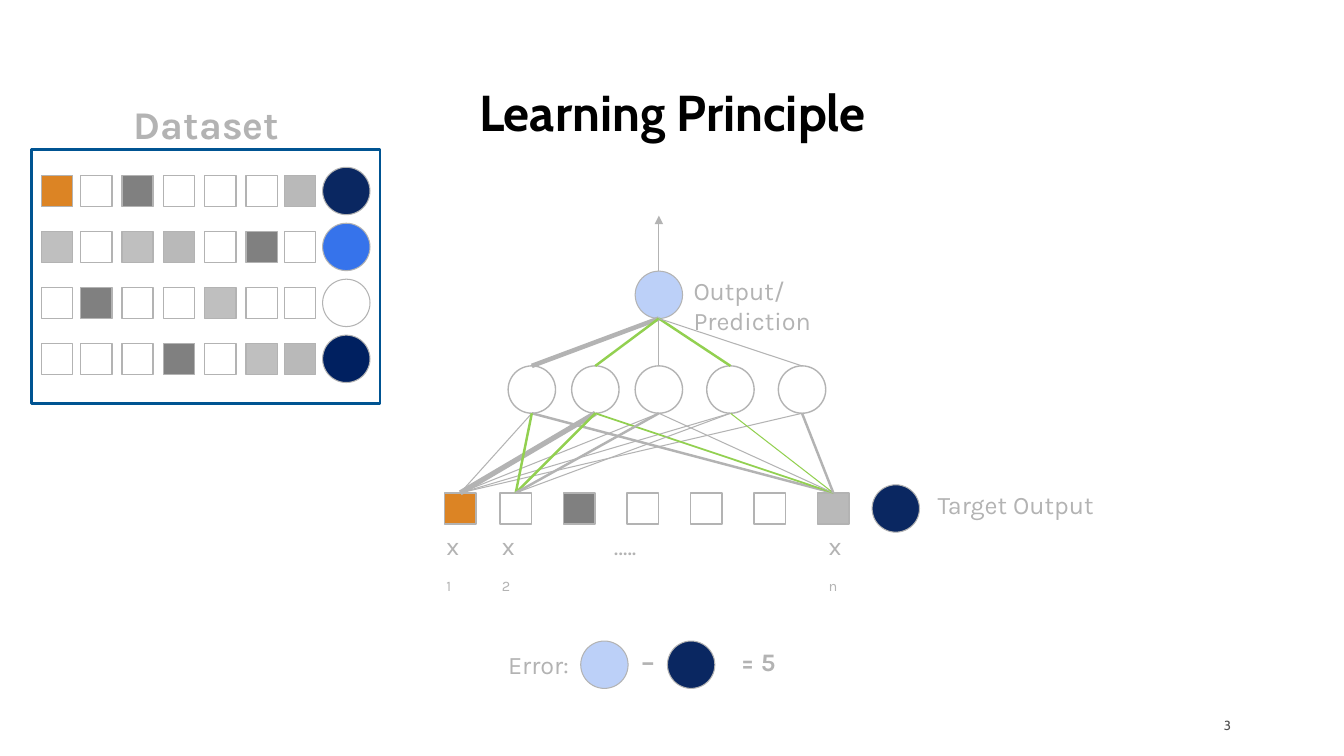
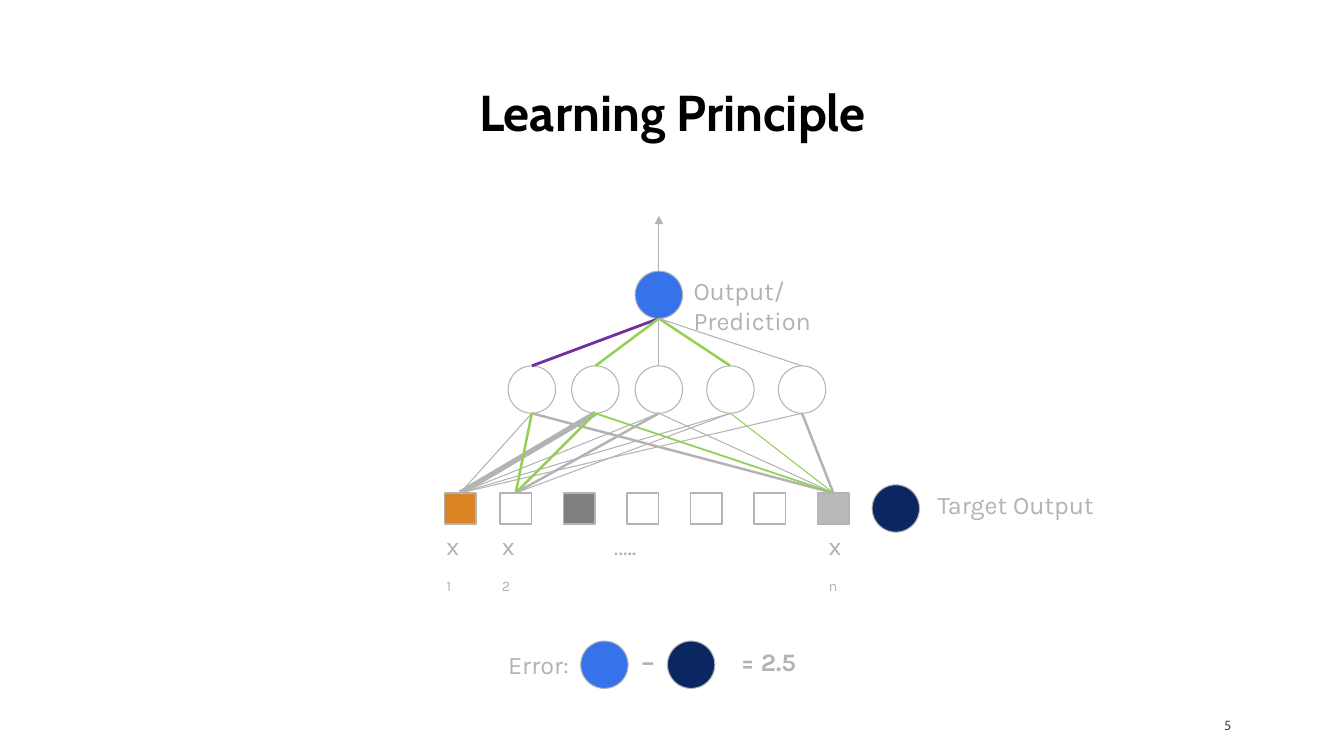
from dataclasses import dataclass

from lxml import etree
from pptx import Presentation
from pptx.dml.color import RGBColor
from pptx.enum.shapes import MSO_CONNECTOR, MSO_SHAPE
from pptx.enum.text import MSO_ANCHOR, PP_ALIGN
from pptx.oxml.ns import qn
from pptx.util import Inches, Pt


@dataclass(frozen=True)
class Theme:
    title_font: str = "Cabin"
    body_font: str = "Karla"
    title_size: float = 36
    large: float = 28
    body: float = 18
    footer: float = 9.4
    black: str = "000000"
    footer_grey: str = "505050"
    line_grey: str = "B3B3B3"
    white: str = "FFFFFF"
    orange: str = "DC8424"
    dark_grey: str = "808080"
    mid_grey: str = "B9B9B9"
    light_grey: str = "BFBFBF"
    navy: str = "0A2761"
    deep_navy: str = "002060"
    blue: str = "3673EB"
    pale_blue: str = "BCD0F8"
    green: str = "92D050"
    purple: str = "7030A0"
    frame_blue: str = "005492"


T = Theme()
NODE, CELL = 0.47, 0.31
HIDDEN_TOP, OUTPUT_TOP, INPUT_TOP = 3.63, 2.69, 4.89
HIDDEN_LEFTS = [5.04, 5.67, 6.3, 7.01, 7.72]
INPUT_LEFTS = [4.41] + [4.96 + 0.63 * i for i in range(6)]
ERROR_TOP = 6.36

FILLS = {"O": T.orange, "W": T.white, "D": T.dark_grey, "M": T.mid_grey, "L": T.light_grey}
SAMPLE = "OWDWWWM"
DATASET = [(SAMPLE, T.navy), ("LWLMWDW", T.blue), ("WDWWLWW", T.white), ("WWWDWLM", T.deep_navy)]
DATASET_LEFTS = [0.41, 0.8, 1.21, 1.62, 2.03, 2.44, 2.82]
TARGET_LEFT, DATASET_TOP, ROW_PITCH = 3.2, 1.74, 0.555

# (input, hidden, colour, weight)
INPUT_WEIGHTS = [
    (0, 0, T.line_grey, 0.75), (0, 1, T.line_grey, 3.75), (0, 2, T.line_grey, 0.75),
    (0, 3, T.line_grey, 0.75), (0, 4, T.line_grey, 0.75),
    (6, 0, T.line_grey, 1.75), (6, 1, T.green, 1.25), (6, 2, T.line_grey, 0.75),
    (6, 3, T.green, 0.75), (6, 4, T.line_grey, 1.75),
    (1, 0, T.green, 1.75), (1, 1, T.green, 1.75), (1, 2, T.line_grey, 1.75),
    (1, 3, T.line_grey, 0.75),
]
# Weights of hidden nodes 1 to 4 towards the output; node 0 differs by step
OUTPUT_WEIGHTS = [(T.green, 1.75), (T.line_grey, 0.75), (T.green, 1.75), (T.line_grey, 0.75)]

STEPS = [
    dict(number="3", prediction=T.pale_blue, first_weight=(T.line_grey, 3.25),
         error="= 5", node_line=1, dataset=True),
    dict(number="5", prediction=T.blue, first_weight=(T.purple, 2),
         error="= 2.5", node_line=0.75, dataset=False),
]


def add_figure(slide, kind, left, top, width, height, fill, line=T.line_grey, weight=0.75):
    """Add an outlined preset shape; a fill of None leaves it open."""
    figure = slide.shapes.add_shape(kind, Inches(left), Inches(top), Inches(width), Inches(height))
    figure.shadow.inherit = False
    if fill is None:
        figure.fill.background()
    else:
        figure.fill.solid()
        figure.fill.fore_color.rgb = RGBColor.from_string(fill)
    figure.line.color.rgb = RGBColor.from_string(line)
    figure.line.width = Pt(weight)
    return figure


def add_text(slide, text, left, top, width, height, size=T.body, font=T.body_font,
             color=T.line_grey, bold=False):
    frame = slide.shapes.add_textbox(
        Inches(left), Inches(top), Inches(width), Inches(height)).text_frame
    frame.word_wrap = True
    paragraph = frame.paragraphs[0]
    paragraph.add_run().text = text
    paragraph.font.size = Pt(size)
    paragraph.font.name = font
    paragraph.font.bold = bold
    paragraph.font.color.rgb = RGBColor.from_string(color)
    return frame


prs = Presentation()
prs.slide_width, prs.slide_height = Inches(13.33), Inches(7.5)

for step in STEPS:
    slide = prs.slides.add_slide(prs.slide_layouts[6])

    # Title and slide number
    title = add_text(slide, "Learning Principle", 0.61, 0.79, 12.12, 0.72,
                     T.title_size, T.title_font, T.black, bold=True)
    title.margin_top = title.margin_bottom = Inches(0.1)
    title.vertical_anchor = MSO_ANCHOR.BOTTOM
    title.paragraphs[0].alignment = PP_ALIGN.CENTER
    title.paragraphs[0].line_spacing = 0.9

    number = add_text(slide, step["number"], 11.86, 7.09, 0.35, 0.2,
                      T.footer, T.title_font, T.footer_grey)
    number.margin_left = number.margin_right = number.margin_top = number.margin_bottom = 0
    number.vertical_anchor = MSO_ANCHOR.MIDDLE
    number.paragraphs[0].alignment = PP_ALIGN.RIGHT

    # Network nodes
    output = add_figure(slide, MSO_SHAPE.OVAL, 6.3, OUTPUT_TOP, NODE, NODE, step["prediction"])
    hidden = [add_figure(slide, MSO_SHAPE.OVAL, left, HIDDEN_TOP, NODE, NODE, T.white,
                         weight=step["node_line"]) for left in HIDDEN_LEFTS]
    inputs = [add_figure(slide, MSO_SHAPE.RECTANGLE, left, INPUT_TOP, CELL, CELL, FILLS[key],
                         weight=1) for left, key in zip(INPUT_LEFTS, SAMPLE)]

    # Every edge rises from the top of a node to the bottom of the next one
    edges = [(inputs[i], hidden[h], color, weight) for i, h, color, weight in INPUT_WEIGHTS]
    edges += [(node, output, color, weight) for node, (color, weight)
              in zip(hidden, [step["first_weight"]] + OUTPUT_WEIGHTS)]
    edges.append((output, None, T.line_grey, 0.75))
    for source, target, color, weight in edges:
        if target is None:
            end_x, end_y = source.left + source.width // 2, Inches(2.14)
        else:
            end_x, end_y = target.left + target.width // 2, target.top + target.height
        edge = slide.shapes.add_connector(
            MSO_CONNECTOR.STRAIGHT, source.left, source.top, end_x, end_y)
        edge.begin_connect(source, 0)
        edge.line.color.rgb = RGBColor.from_string(color)
        edge.line.width = Pt(weight)
        if target is None:
            etree.SubElement(edge.line._get_or_add_ln(), qn("a:tailEnd"), type="triangle")
        etree.SubElement(edge._element.spPr, qn("a:effectLst"))

    # Input labels, with the index set low on a second line
    for index, left in (("1", 4.33), ("2", 4.88), ("n", 8.12)):
        label = add_text(slide, "x", left, 5.21, 0.4, 0.7).paragraphs[0]
        label.add_line_break()
        subscript = label.add_run()
        subscript.text = index
        subscript.font._element.set("baseline", "-25000")
    add_text(slide, "…..", 5.99, 5.21, 1.96, 0.4)

    # Target and error
    add_figure(slide, MSO_SHAPE.OVAL, 8.65, 4.81, NODE, NODE, T.navy)
    add_figure(slide, MSO_SHAPE.OVAL, 5.76, ERROR_TOP, NODE, NODE, step["prediction"])
    add_figure(slide, MSO_SHAPE.OVAL, 6.62, ERROR_TOP, NODE, NODE, T.navy)
    add_text(slide, "Output/Prediction", 6.78, 2.68, 2.25, 0.7)
    add_text(slide, "Target Output", 9.2, 4.81, 2.25, 0.4)
    add_text(slide, "Error:", 4.94, 6.39, 0.98, 0.4)
    add_text(slide, "-", 6.26, 6.26, 0.39, 0.57, T.large)
    add_text(slide, step["error"], 7.25, ERROR_TOP, 2.25, 0.4, bold=True)

    if step["dataset"]:
        add_text(slide, "Dataset", 1.23, 0.95, 2.25, 0.57, T.large, bold=True)
        for row, (keys, target_fill) in enumerate(DATASET):
            top = DATASET_TOP + row * ROW_PITCH
            for left, key in zip(DATASET_LEFTS, keys):
                add_figure(slide, MSO_SHAPE.RECTANGLE, left, top, CELL, CELL, FILLS[key], weight=1)
            add_figure(slide, MSO_SHAPE.OVAL, TARGET_LEFT, top - (NODE - CELL) / 2,
                       NODE, NODE, target_fill)
        add_figure(slide, MSO_SHAPE.RECTANGLE, 0.31, 1.48, 3.46, 2.52, None, T.frame_blue, 2)

prs.save("out.pptx")
